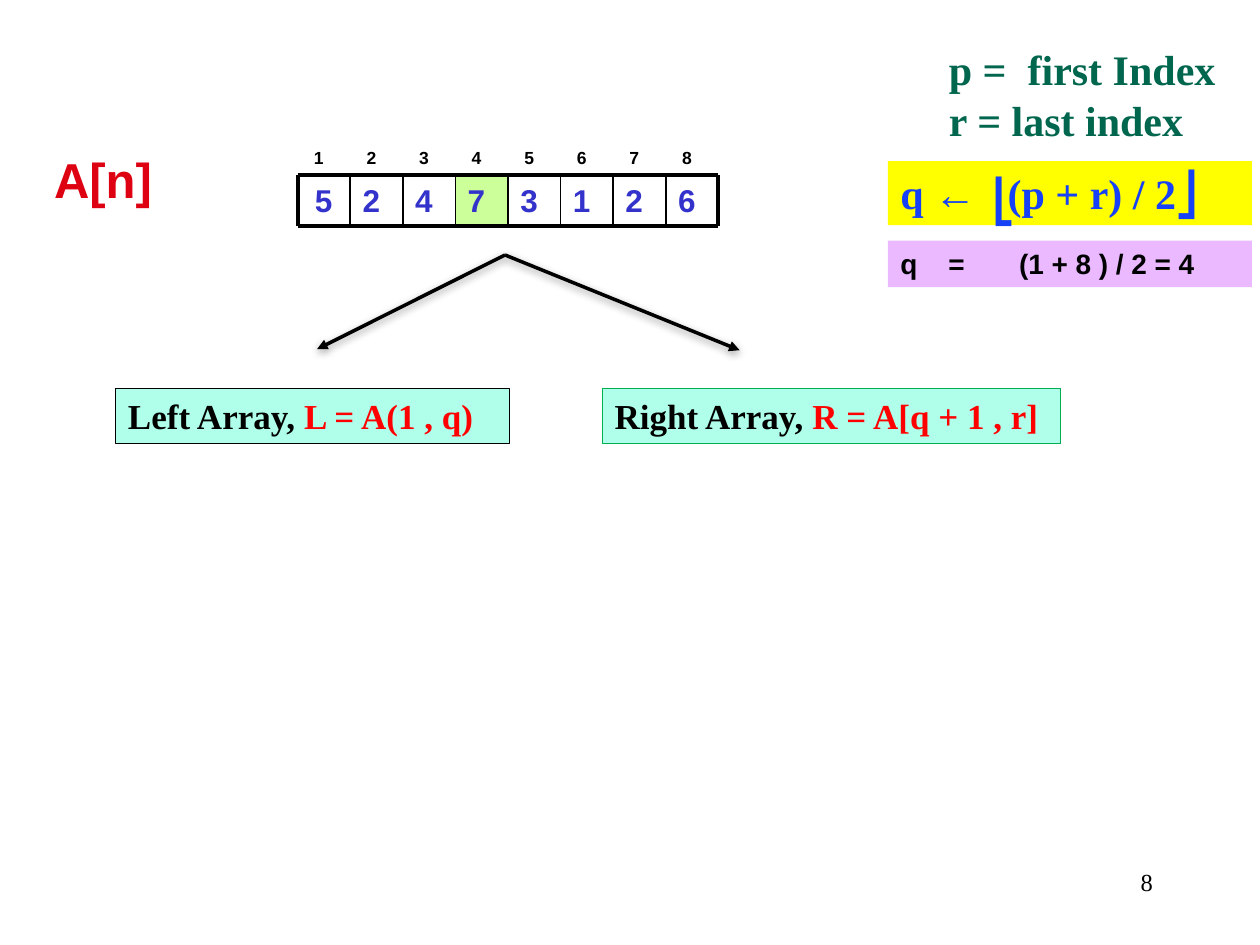
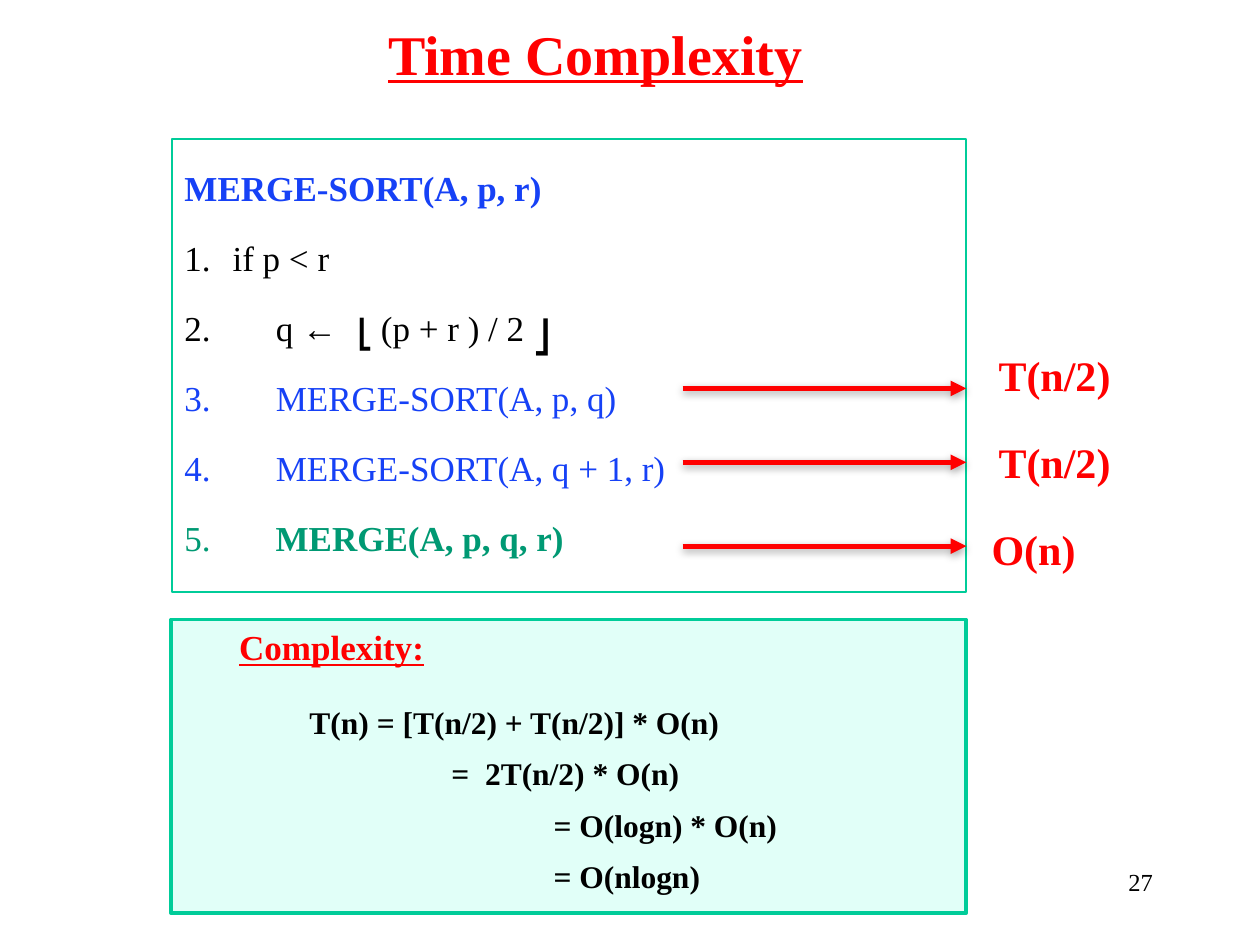
from dataclasses import dataclass, field

from lxml import etree
from pptx import Presentation, util as u
from pptx.dml import color
from pptx.enum import shapes, text
from pptx.oxml import ns

SERIF, SANS, COMIC = "Times New Roman", "Arial", "Comic Neue"
BLACK, RED, BLUE, TEAL, MINT = "000000", "FF0000", "1641F6", "00CC99", "AFFFEA"
LEFT, CENTER, RIGHT = text.PP_ALIGN.LEFT, text.PP_ALIGN.CENTER, text.PP_ALIGN.RIGHT
TOP, MIDDLE = text.MSO_ANCHOR.TOP, text.MSO_ANCHOR.MIDDLE


@dataclass
class Run:
    text: str
    size: float = 24
    hue: str = BLACK
    name: str = SERIF
    bold: bool = True
    underline: bool = False
    spacing: float = 0


@dataclass
class Para:
    runs: list[Run]
    indent: float = 0
    numbered: bool = False
    fmt: dict = field(default_factory=dict)


@dataclass
class Box:
    left: float
    top: float
    width: float
    height: float
    paras: list[Para]
    fill: str = ""
    line: str = ""
    weight: float = 0.75
    anchor: text.MSO_ANCHOR = TOP


@dataclass
class Line:
    x1: float
    y1: float
    x2: float
    y2: float
    hue: str
    weight: float
    shadow: int = 0


def rgb(value: str) -> color.RGBColor:
    return color.RGBColor.from_string(value)


def child(parent, tag: str, **attrs):
    el = etree.SubElement(parent, ns.qn(tag))
    for key, value in attrs.items():
        el.set(key, str(value))
    return el


def set_attrs(obj, values: dict) -> None:
    for key, value in values.items():
        setattr(obj, key, value)


def one(content: str, align=LEFT, indent: float = 0, **style) -> list[Para]:
    return [Para([Run(content, **style)], indent, fmt={"alignment": align})]


def write_run(p, run: Run) -> None:
    r = p.add_run()
    r.text = run.text
    set_attrs(r.font, {"size": u.Pt(run.size), "name": run.name,
                       "bold": run.bold, "underline": run.underline})
    r.font.color.rgb = rgb(run.hue)
    rPr = r._r.get_or_add_rPr()
    for tag in ("a:ea", "a:cs"):
        child(rPr, tag, typeface=run.name)
    if run.spacing:
        rPr.set("spc", str(round(run.spacing * 100)))


def write_paras(tf, paras: list[Para]) -> None:
    for i, para in enumerate(paras):
        p = tf.paragraphs[0] if i == 0 else tf.add_paragraph()
        set_attrs(p, {"alignment": LEFT, **para.fmt})
        pPr = p._p.get_or_add_pPr()
        if para.indent:
            pPr.set("marL", str(u.Cm(para.indent)))
        if para.numbered:
            pPr.set("indent", str(-u.Cm(para.indent)))
            child(child(pPr, "a:buClr"), "a:srgbClr", val=para.runs[0].hue)
            child(pPr, "a:buFont", typeface="+mj-lt")
            child(pPr, "a:buAutoNum", type="arabicPeriod")
        for run in para.runs:
            write_run(p, run)


def draw_box(slide, box: Box) -> None:
    frame = [u.Cm(v) for v in (box.left, box.top, box.width, box.height)]
    if box.fill or box.line:
        sp = slide.shapes.add_shape(shapes.MSO_SHAPE.RECTANGLE, *frame)
        sp.shadow.inherit = False
    else:
        sp = slide.shapes.add_textbox(*frame)
    if box.fill:
        sp.fill.solid()
        sp.fill.fore_color.rgb = rgb(box.fill)
    else:
        sp.fill.background()
    if box.line:
        sp.line.color.rgb = rgb(box.line)
        sp.line.width = u.Pt(box.weight)
    else:
        sp.line.fill.background()
    set_attrs(sp.text_frame, {"word_wrap": True, "vertical_anchor": box.anchor})
    write_paras(sp.text_frame, box.paras)


def draw_line(slide, line: Line) -> None:
    ends = [u.Cm(v) for v in (line.x1, line.y1, line.x2, line.y2)]
    cxn = slide.shapes.add_connector(shapes.MSO_CONNECTOR.STRAIGHT, *ends)
    cxn.line.color.rgb = rgb(line.hue)
    cxn.line.width = u.Pt(line.weight)
    if line.shadow:
        child(cxn.line._get_or_add_ln(), "a:tailEnd", type="triangle")
    effects = child(cxn._element.spPr, "a:effectLst")
    if line.shadow:
        shadow = child(effects, "a:outerShdw", blurRad=u.Pt(5), dist=u.Pt(1.7),
                       dir=5400000, rotWithShape=0)
        child(child(shadow, "a:srgbClr", val=BLACK), "a:alpha", val=line.shadow * 1000)


def draw_array(slide, values: str, middle: int, left: float, top: float,
               pitch: float, height: float) -> None:
    count = len(values)
    right, bottom = left + count * pitch, top + height
    for i, value in enumerate(values):
        x = left + i * pitch
        draw_box(slide, Box(x + 0.08, top - 0.7, 0.8, 0.68,
                            one(str(i + 1), size=10, name=SANS)))
        draw_box(slide, Box(x, top, pitch, height,
                            one(value, indent=0 if i else 0.1, size=18,
                                hue="3333CC", name=SANS),
                            "CCFF99" if i == middle else ""))
    for y in (top, bottom):
        draw_line(slide, Line(left, y, right, y, BLACK, 2.25))
    for i in range(count + 1):
        x = left + i * pitch
        draw_line(slide, Line(x, top, x, bottom, BLACK, 2.25 if i in (0, count) else 1))


def new_slide(prs, number: int):
    slide = prs.slides.add_slide(prs.slide_layouts[6])
    draw_box(slide, Box(18.21, 17.35, 5.28, 1.27,
                        one(str(number), RIGHT, size=14, bold=False)))
    return slide


def build_split(prs) -> None:
    slide = new_slide(prs, 8)
    draw_array(slide, "52473126", 3, 6, 3.53, 1.06, 1.02)

    def half(label: str, formula: str) -> list[Para]:
        return [Para([Run(label, 20), Run(formula, 20, RED)])]

    blue = {"hue": BLUE}
    sans = {"size": 16, "name": SANS}
    floor = [Para([Run("q ←", **blue), Run(" ", spacing=12, **blue),
                   Run("(p + r) / 2", **blue), Run("⎦", name=COMIC, **blue)])]
    midpoint = [Para([Run("q", **sans), Run(" ", spacing=13.3, **sans),
                      Run("=", **sans), Run(" ", spacing=26.7, **sans),
                      Run("(1 + 8 ) / 2 = 4", **sans)])]
    indexes = [p for line in ("p =  first Index", "r = last index")
               for p in one(line, hue="00664D")]
    for box in (
        Box(2.33, 7.83, 7.95, 1.11, half("Left Array, ", "L = A(1 , q)"), MINT, BLACK),
        Box(12.14, 7.83, 9.24, 1.11, half("Right Array, ", "R = A[q + 1 , r]"),
            MINT, "00B050"),
        Box(0.84, 2.88, 2.7, 1.45, one("A[n]", size=28, hue="DD0111", name=SANS)),
        Box(17.9, 3.25, 7.34, 1.29, floor, "FFFF00"),
        Box(19.78, 3.4, 1.1, 1.29, one("⎣", hue=BLUE, name=COMIC)),
        Box(18.88, 0.76, 6.2, 2.31, indexes),
        Box(17.9, 4.85, 7.34, 0.94, midpoint, "EBB9FF"),
    ):
        draw_box(slide, box)
    for x, y in ((6.39, 7.04), (14.91, 7.06)):
        draw_line(slide, Line(10.18, 5.14, x, y, BLACK, 2, 38))


def build_complexity(prs) -> None:
    slide = new_slide(prs, 27)
    proof = [Para([Run("Complexity:", 20, RED, underline=True)], 1.12)]
    for indent, before, formula in (
        (2.54, 15.6, "T(n) = [T(n/2) + T(n/2)] * O(n)"),
        (5.4, 3.6, "=  2T(n/2) * O(n)"),
        (7.46, 3.6, "= O(logn) * O(n)"),
        (7.46, 3.6, "= O(nlogn)"),
    ):
        proof.append(Para([Run(formula, 18)], indent,
                          fmt={"line_spacing": 1.2, "space_before": u.Pt(before)}))

    plain = {"size": 20, "bold": False}
    green = "009973"
    steps = [
        (0.97, [Run("if p < r", **plain)]),
        (1.84, [Run("q ←", **plain), Run(" ", spacing=20, **plain),
                Run("(p + r ) / 2", **plain)]),
        (1.84, [Run("MERGE-SORT(A, p, q)", hue=BLUE, **plain)]),
        (1.84, [Run("MERGE-SORT(A, q + 1, r)", hue=BLUE, **plain)]),
        (1.66, [Run(" ", hue=green, **plain), Run("MERGE(A, p, q, r)", 20, green)]),
    ]
    code = [Para([Run("MERGE-SORT(A, p, r)", 20, BLUE)], fmt={"line_spacing": 1.5})]
    code += [Para(runs, indent, True, {"line_spacing": 1.5, "space_before": u.Pt(4)})
             for indent, runs in steps]

    draw_box(slide, Box(3.45, 12.49, 16.03, 5.92, proof, "E1FFF8", TEAL, 2))
    draw_box(slide, Box(3.47, 2.81, 16, 9.12, code, "", TEAL, 1))
    for arrow_y, left, top, cost in ((7.83, 19.88, 6.93, "T(n/2)"),
                                     (9.32, 19.88, 8.68, "T(n/2)"),
                                     (11.01, 19.74, 10.43, "O(n)")):
        draw_line(slide, Line(13.76, arrow_y, 19.48, arrow_y, RED, 3, 35))
        draw_box(slide, Box(left, top, 3, 1.29, one(cost, hue=RED)))
    draw_box(slide, Box(1.97, -0.32, 20.07, 2.77,
                        one("Time Complexity", CENTER, size=32, hue=RED, underline=True),
                        anchor=MIDDLE))
    for left, top, size, bracket in ((6.97, 6.25, 16, "⎣"), (10.52, 6.27, 18, "⎦")):
        draw_box(slide, Box(left, top, 0.9, 1, one(bracket, size=size, name=COMIC)))


def main() -> None:
    prs = Presentation()
    set_attrs(prs, {"slide_width": u.Cm(25.4), "slide_height": u.Cm(19.05)})
    build_split(prs)
    build_complexity(prs)
    prs.save("out.pptx")


if __name__ == "__main__":
    main()
